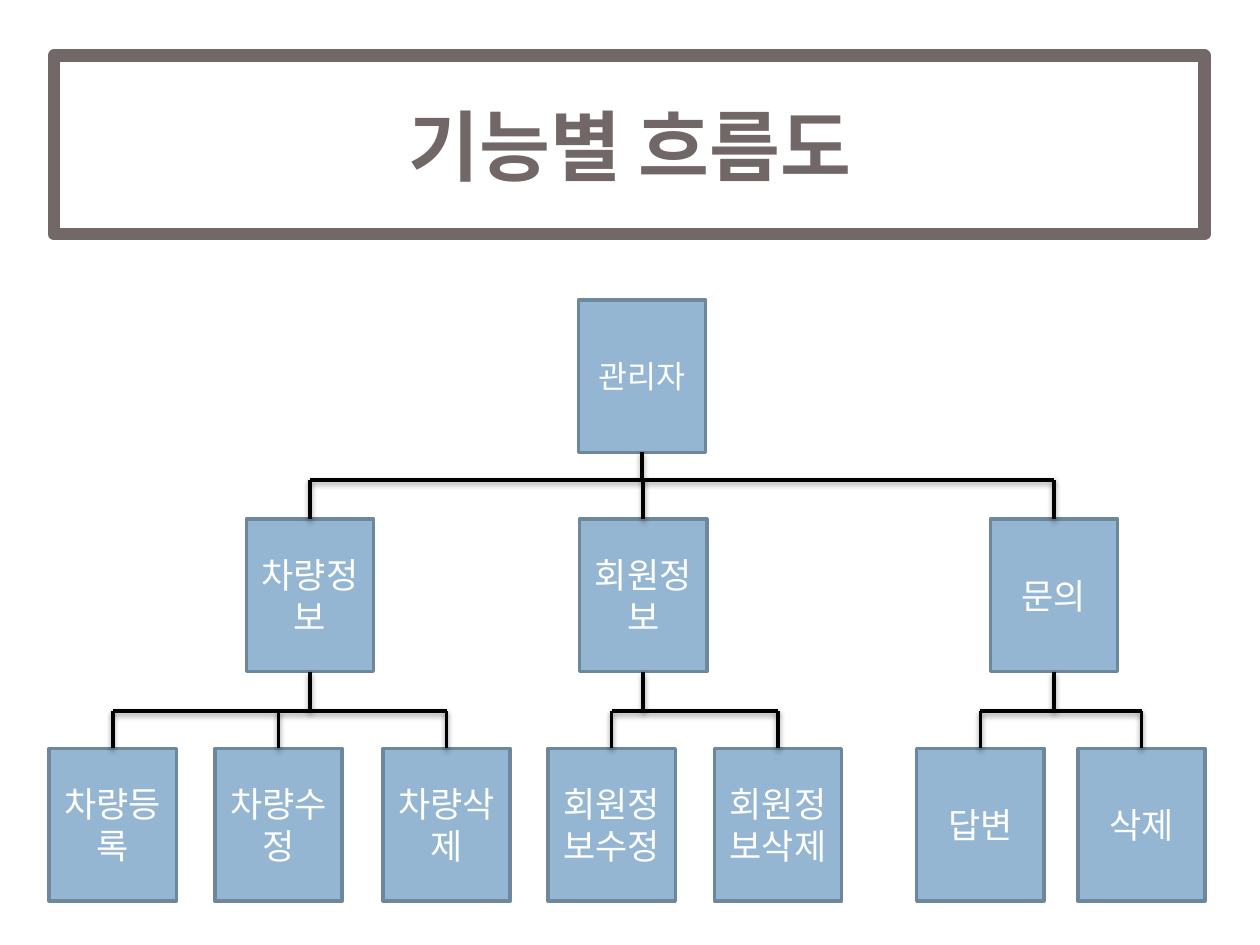
from lxml import etree
from pptx import Presentation
from pptx import util as u
from pptx.dml.color import RGBColor
from pptx.enum import shapes, text
from pptx.oxml import parse_xml
from pptx.oxml.ns import nsdecls, qn

COLS, ROWS = 100, 75
BOX_W, BOX_H = 10.1, 12.1
TOPS = (23.8, 41.2, 59.4)
BARS = (38.1, 56.45)
# name, centre column, children
TREE = ("관리자", 50.95, [
    ("차량정보", 24.6, [("차량등록", 8.95), ("차량수정", 22.1), ("차량삭제", 35.45)]),
    ("회원정보", 51.05, [("회원정보수정", 48.55), ("회원정보삭제", 61.75)]),
    ("문의", 83.65, [("답변", 77.8), ("삭제", 90.6)]),
])
SHADOW = (
    f'<a:effectLst {nsdecls("a")}><a:outerShdw blurRad="39400" dist="20300" '
    'dir="5400000" rotWithShape="0"><a:srgbClr val="000000">'
    '<a:alpha val="38000"/></a:srgbClr></a:outerShdw></a:effectLst>'
)


def color(code):
    return RGBColor.from_string(code)


def write(frame, words, size=20, fill="FFFFFF", bold=False, font="Noto Sans CJK KR"):
    frame.word_wrap = True
    frame.vertical_anchor = text.MSO_ANCHOR.MIDDLE
    para = frame.paragraphs[0]
    para.alignment = text.PP_ALIGN.CENTER
    run = para.add_run()
    run.text = words
    run.font.size, run.font.bold = u.Pt(size), bold
    run.font.name = font
    run.font.color.rgb = color(fill)
    etree.SubElement(run.font._element, qn("a:ea")).set("typeface", font)


class Chart:
    """Style and current slide; lengths are grid columns and rows."""
    blue, edge, gray, black = "94B6D2", "6D879B", "726868", "000000"

    def __init__(self, deck):
        self.slide = deck.slides.add_slide(deck.slide_layouts[5])
        self.col = deck.slide_width / COLS
        self.row = deck.slide_height / ROWS

    def place(self, x, y):
        return round(x * self.col), round(y * self.row)

    def title(self, words, x, y, w, h):
        shape = self.slide.shapes.title
        shape.left, shape.top = self.place(x, y)
        shape.width, shape.height = self.place(w, h)
        write(shape.text_frame, words, size=44, fill="716767", bold=True)

    def rect(self, x, y, w, h, line, width, fill=None):
        shape = self.slide.shapes.add_shape(
            shapes.MSO_SHAPE.RECTANGLE, *self.place(x, y), *self.place(w, h))
        shape.shadow.inherit = False
        if fill:
            shape.fill.solid()
            shape.fill.fore_color.rgb = color(fill)
        else:
            shape.fill.background()
        shape.line.color.rgb = color(line)
        shape.line.width = u.Pt(width)
        return shape

    def box(self, words, mid, top, size):
        shape = self.rect(mid - BOX_W / 2, top, BOX_W, BOX_H, self.edge, 2, self.blue)
        write(shape.text_frame, words, size=size)

    def line(self, x1, y1, x2, y2):
        link = self.slide.shapes.add_connector(
            shapes.MSO_CONNECTOR.STRAIGHT, *self.place(x1, y1), *self.place(x2, y2))
        link.line.color.rgb = color(self.black)
        link.line.width = u.Pt(2)
        link._element.spPr.append(parse_xml(SHADOW))

    def boxes(self, node, level=0):
        name, mid, *kids = node
        self.box(name, mid, TOPS[level], 20 if level else 18)
        for kid in kids[0] if kids else []:
            self.boxes(kid, level + 1)

    def lines(self, node, level=0):
        """Link a node to its children by a stem, a bar and drops."""
        _, mid, *kids = node
        if not kids:
            return
        bar = BARS[level]
        mids = [kid[1] for kid in kids[0]]
        self.line(mids[0], bar, mids[-1], bar)
        self.line(mid, TOPS[level] + BOX_H, mid, bar)
        for kid in kids[0]:
            self.line(kid[1], bar, kid[1], TOPS[level + 1])
            self.lines(kid, level + 1)


def main():
    deck = Presentation()
    deck.slide_width, deck.slide_height = u.Inches(10), u.Inches(7.5)
    chart = Chart(deck)
    chart.rect(4.3, 4.4, 91.3, 14.2, chart.gray, 7)
    chart.title("기능별 흐름도", 7.5, 3.4, 85, 16.1)
    chart.boxes(TREE)
    chart.lines(TREE)
    deck.save("out.pptx")


if __name__ == "__main__":
    main()
